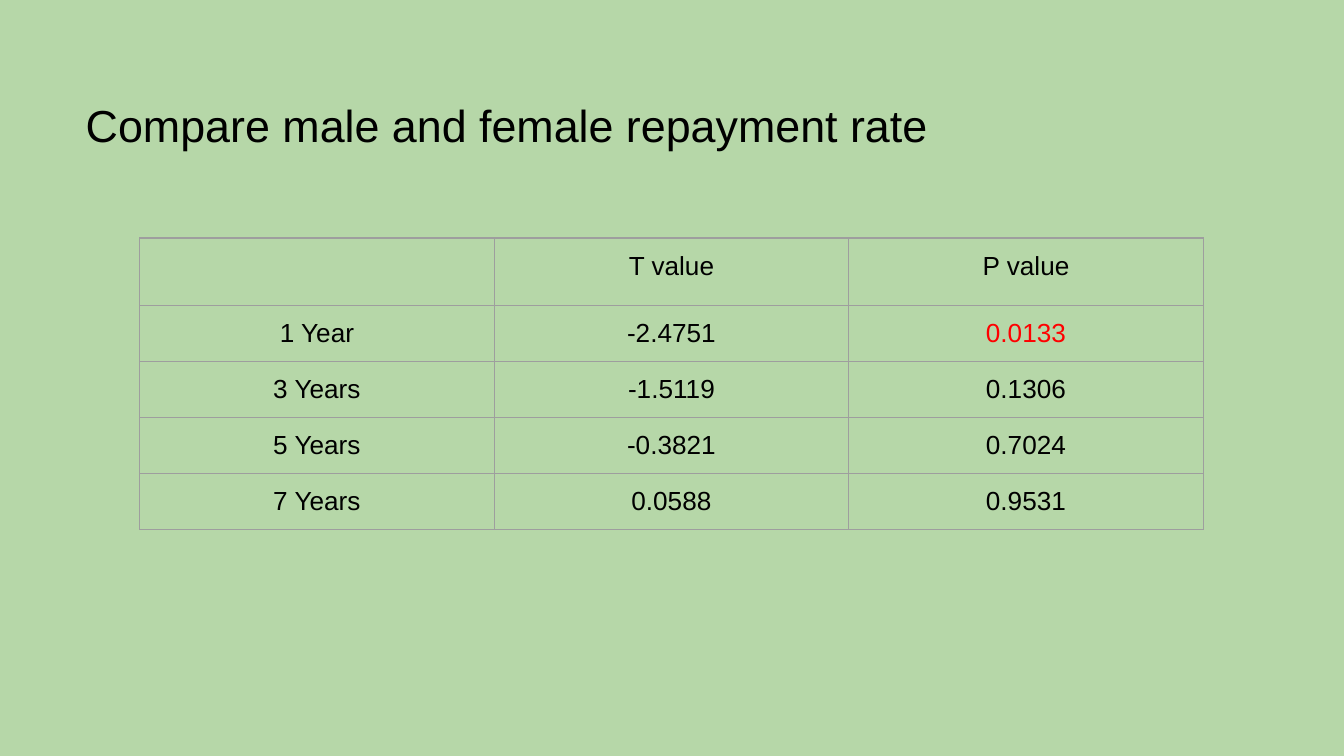
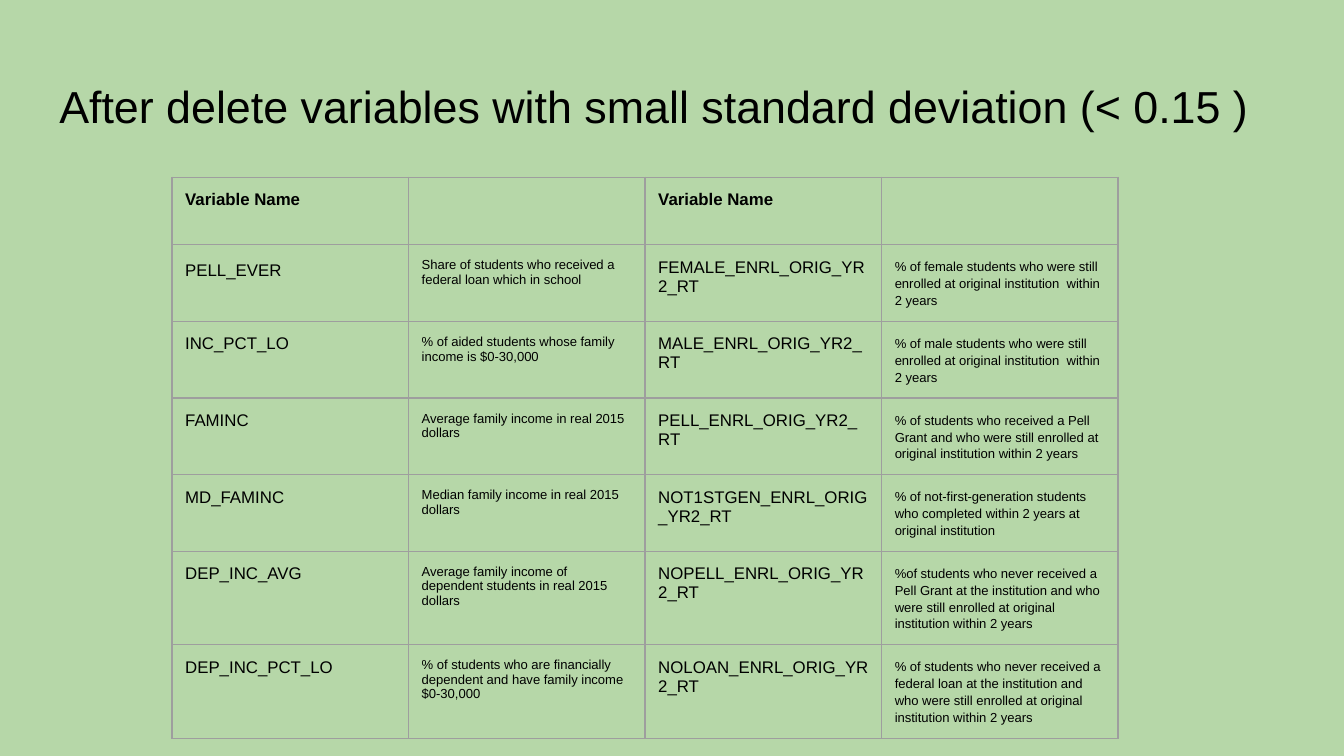
import lxml.etree
import pptx
import pptx.dml.color
import pptx.enum.text
import pptx.oxml.ns
import pptx.util

Cm = pptx.util.Cm
Pt = pptx.util.Pt
RGBColor = pptx.dml.color.RGBColor
PP_ALIGN = pptx.enum.text.PP_ALIGN

BACKGROUND = RGBColor(0xB6, 0xD7, 0xA8)
BLACK = RGBColor(0x00, 0x00, 0x00)
RED = RGBColor(0xFF, 0x00, 0x00)
BORDER = RGBColor(0x9E, 0x9E, 0x9E)

FONT = "Arial"
INSET = Cm(0.25)
TITLE_FORMAT = {"size": Pt(24)}
RATE_FORMAT = {"size": Pt(14)}
HEADER_FORMAT = {"size": Pt(9), "bold": True}
NAME_FORMAT = {"size": Pt(9)}
DESCRIPTION_FORMAT = {"size": Pt(7)}
FRAME_FORMAT = {
    "margin_left": INSET,
    "margin_right": INSET,
    "margin_top": INSET,
    "margin_bottom": INSET,
    "vertical_anchor": pptx.enum.text.MSO_ANCHOR.TOP,
}

RATE_ROWS = [
    ["", "T value", "P value"],
    ["1 Year", "-2.4751", "0.0133"],
    ["3 Years", "-1.5119", "0.1306"],
    ["5 Years", "-0.3821", "0.7024"],
    ["7 Years", "0.0588", "0.9531"],
]
SIGNIFICANT_VALUE = "0.0133"

VARIABLE_ROWS = [
    ["Variable Name", "", "Variable Name", ""],
    ["PELL_EVER",
     "Share of students who received a federal loan which in school",
     "FEMALE_ENRL_ORIG_YR2_RT",
     "% of female students who were still enrolled at original institution  within 2 years"],
    ["INC_PCT_LO",
     "% of aided students whose family income is $0-30,000",
     "MALE_ENRL_ORIG_YR2_RT",
     "% of male students who were still enrolled at original institution  within 2 years"],
    ["FAMINC",
     "Average family income in real 2015 dollars",
     "PELL_ENRL_ORIG_YR2_RT",
     "% of students who received a Pell Grant and who were still enrolled at "
     "original institution within 2 years"],
    ["MD_FAMINC",
     "Median family income in real 2015 dollars",
     "NOT1STGEN_ENRL_ORIG_YR2_RT",
     "% of not-first-generation students who completed within 2 years at original institution"],
    ["DEP_INC_AVG",
     "Average family income of dependent students in real 2015 dollars",
     "NOPELL_ENRL_ORIG_YR2_RT",
     "%of students who never received a Pell Grant at the institution and who were "
     "still enrolled at original institution within 2 years"],
    ["DEP_INC_PCT_LO",
     "% of students who are financially dependent and have family income $0-30,000",
     "NOLOAN_ENRL_ORIG_YR2_RT",
     "% of students who never received a federal loan at the institution and who were "
     "still enrolled at original institution within 2 years"],
]


def set_attributes(target, values):
    for name, value in values.items():
        setattr(target, name, value)


def write_text(paragraph, text, font_format, color=BLACK, alignment=PP_ALIGN.LEFT, spacing=1.0):
    set_attributes(paragraph, {"alignment": alignment, "line_spacing": spacing})
    run = paragraph.add_run()
    run.text = text
    set_attributes(run.font, {"name": FONT, **font_format})
    run.font.color.rgb = color


def add_titled_slide(presentation, title, left, top, width, height):
    slide = presentation.slides.add_slide(presentation.slide_layouts[5])
    shape = slide.shapes.title
    set_attributes(shape, {"left": left, "top": top, "width": width, "height": height})
    set_attributes(shape.text_frame, {
        **FRAME_FORMAT,
        "word_wrap": True,
        "auto_size": pptx.enum.text.MSO_AUTO_SIZE.NONE,
    })
    write_text(shape.text_frame.paragraphs[0], title, TITLE_FORMAT)
    return slide


def add_borders(cell):
    properties = cell._tc.get_or_add_tcPr()
    qualified = pptx.oxml.ns.qn
    for side in ("a:lnL", "a:lnR", "a:lnT", "a:lnB"):
        line = lxml.etree.SubElement(properties, qualified(side), w=str(Pt(0.75)))
        fill = lxml.etree.SubElement(line, qualified("a:solidFill"))
        lxml.etree.SubElement(fill, qualified("a:srgbClr"), val=str(BORDER))


def add_grid(slide, rows, left, top, column_width, row_heights, text_style):
    column_count = len(rows[0])
    table = slide.shapes.add_table(
        len(rows), column_count, left, top, column_width * column_count, sum(row_heights)
    ).table
    set_attributes(table, {"first_row": False, "horz_banding": False})
    for column in table.columns:
        column.width = column_width
    for row_index, (texts, height) in enumerate(zip(rows, row_heights)):
        table.rows[row_index].height = height
        for column_index, text in enumerate(texts):
            cell = table.cell(row_index, column_index)
            set_attributes(cell, FRAME_FORMAT)
            add_borders(cell)
            cell.fill.background()
            if text:
                style = text_style(row_index, column_index, text)
                write_text(cell.text_frame.paragraphs[0], text, **style)


def rate_style(row_index, column_index, text):
    return {
        "font_format": RATE_FORMAT,
        "color": RED if text == SIGNIFICANT_VALUE else BLACK,
        "alignment": PP_ALIGN.CENTER,
    }


def variable_style(row_index, column_index, text):
    if row_index == 0:
        return {"font_format": HEADER_FORMAT}
    is_loose = column_index == 3 or text == "PELL_EVER"
    return {
        "font_format": DESCRIPTION_FORMAT if column_index % 2 else NAME_FORMAT,
        "spacing": 1.15 if is_loose else 1.0,
    }


def add_repayment_slide(presentation):
    slide = add_titled_slide(
        presentation, "Compare male and female repayment rate",
        Cm(1.37), Cm(1.6), Cm(22.63), Cm(1.83),
    )
    add_grid(slide, RATE_ROWS, Cm(2.64), Cm(4.5), Cm(6.7), [Cm(1.06)] * 5, rate_style)


def add_variables_slide(presentation):
    slide = add_titled_slide(
        presentation, "After delete variables with small standard deviation (< 0.15 )",
        Cm(0.87), Cm(1.24), Cm(23.67), Cm(1.6),
    )
    row_heights = [Cm(0.79)] + [Cm(1.37)] * 4 + [Cm(1.68)] * 2
    add_grid(slide, VARIABLE_ROWS, Cm(3.25), Cm(3.35), Cm(4.47), row_heights, variable_style)


def main():
    presentation = pptx.Presentation()
    set_attributes(presentation, {"slide_width": Cm(25.4), "slide_height": Cm(14.29)})
    background = presentation.slide_master.background.fill
    background.solid()
    background.fore_color.rgb = BACKGROUND
    add_repayment_slide(presentation)
    add_variables_slide(presentation)
    presentation.save("out.pptx")


if __name__ == "__main__":
    main()
